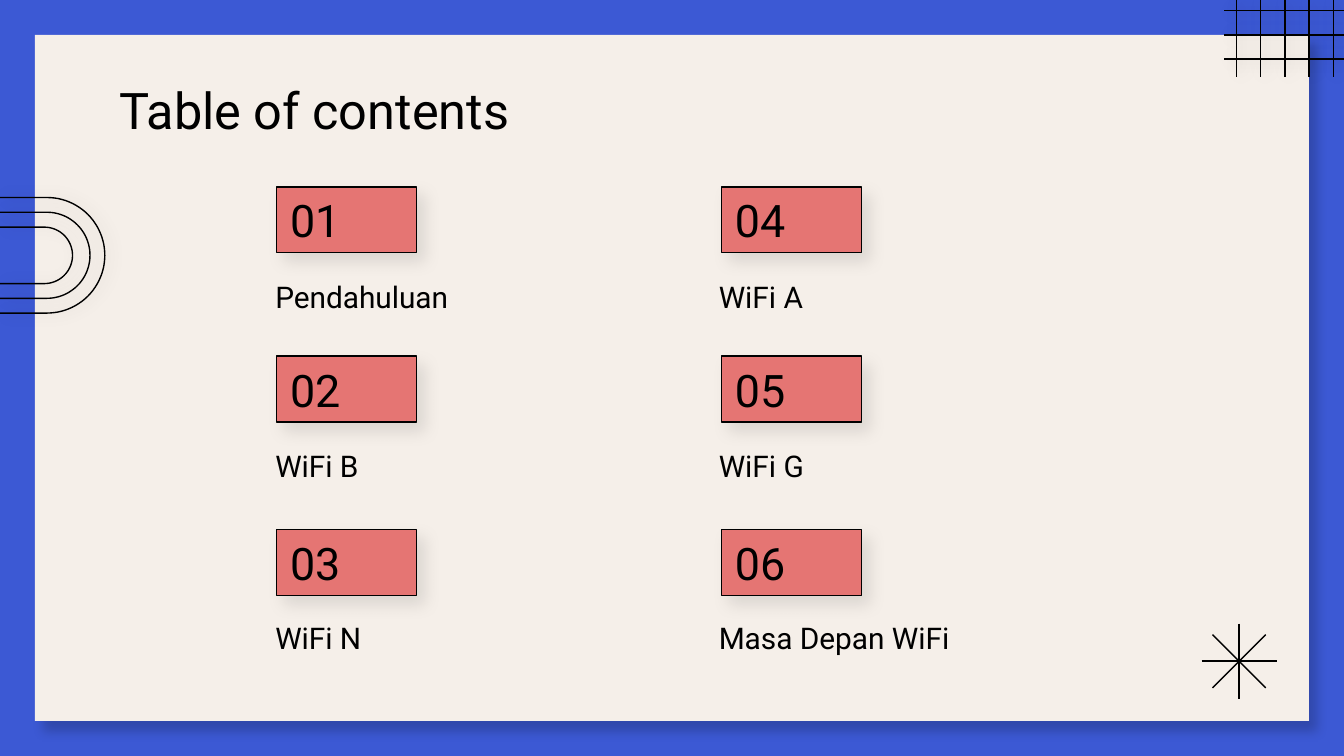
import math

from pptx import Presentation
from pptx.dml.color import RGBColor
from pptx.enum.shapes import MSO_CONNECTOR, MSO_SHAPE
from pptx.enum.text import MSO_ANCHOR, PP_ALIGN
from pptx.oxml.xmlchemy import OxmlElement
from pptx.util import Inches, Pt

RECTANGLE, STRAIGHT = MSO_SHAPE.RECTANGLE, MSO_CONNECTOR.STRAIGHT
TOP, MIDDLE, LEFT = MSO_ANCHOR.TOP, MSO_ANCHOR.MIDDLE, PP_ALIGN.LEFT

BLUE = RGBColor(0x3C, 0x59, 0xD4)
CREAM = RGBColor(0xF5, 0xEF, 0xE9)
CORAL = RGBColor(0xE5, 0x75, 0x73)
BLACK = RGBColor(0, 0, 0)
FONT = "Roboto"

TITLE = "Table of contents"
CHAPTERS = [
    ["Pendahuluan", "WiFi B", "WiFi N"],
    ["WiFi A", "WiFi G", "Masa Depan WiFi"],
]

WIDTH = 10
HEIGHT = WIDTH * 9 / 16
MARGIN = 0.26
BADGE_COLUMNS = (2.06, 5.37)
LABEL_COLUMNS = (1.95, 5.25)
BADGE_ROWS = (1.39, 2.65, 3.94)
LABEL_ROWS = (1.97, 3.23, 4.51)
BADGE = (1.04, 0.49)
LABEL = (2.8, 0.49)

ARCH_MIDDLE = 1.9
ARCHES = [(0.35, 0.43), (0.35, 0.32), (0.33, 0.21)]
ARC_STEPS = 48
GRID_LEFT, GRID_BOTTOM, GRID_PITCH = 9.11, 0.57, 0.18
GRID_X, GRID_Y = 9.2, 0.08
STAR_X, STAR_Y, STAR_ARM = 9.22, 4.92, 0.28

PANEL_SHADOW = dict(alpha=18, blur=5.6, distance=7.5, angle=48)
BADGE_SHADOW = dict(alpha=10, blur=9, distance=6, angle=50)
LINE_SHADOW = dict(alpha=16, blur=7.9, distance=2.2, angle=0)


def set_shadow(shape, shadow=None):
    effects = OxmlElement("a:effectLst")
    if shadow:
        outer = OxmlElement("a:outerShdw")
        outer.set("blurRad", str(Pt(shadow["blur"])))
        outer.set("dist", str(Pt(shadow["distance"])))
        outer.set("dir", str(shadow["angle"] * 60000))
        outer.set("algn", "bl")
        outer.set("rotWithShape", "0")
        color = OxmlElement("a:srgbClr")
        color.set("val", str(BLACK))
        alpha = OxmlElement("a:alpha")
        alpha.set("val", str(shadow["alpha"] * 1000))
        color.append(alpha)
        outer.append(color)
        effects.append(outer)
    shape.element.spPr.append(effects)


def set_outline(shape):
    shape.line.color.rgb = BLACK
    shape.line.width = Pt(0.75)


def add_box(slide, left, top, width, height, fill, shadow, outlined=False):
    box = slide.shapes.add_shape(
        RECTANGLE, Inches(left), Inches(top), Inches(width), Inches(height))
    box.fill.solid()
    box.fill.fore_color.rgb = fill
    if outlined:
        set_outline(box)
    else:
        box.line.fill.background()
    set_shadow(box, shadow)
    return box


def add_line(slide, x1, y1, x2, y2, shadow=None):
    line = slide.shapes.add_connector(
        STRAIGHT, Inches(x1), Inches(y1), Inches(x2), Inches(y2))
    set_outline(line)
    set_shadow(line, shadow)


def add_arch(slide, center, radius):
    angles = [math.pi * (step / ARC_STEPS - 0.5) for step in range(ARC_STEPS + 1)]
    points = [(center + radius * math.cos(a), ARCH_MIDDLE + radius * math.sin(a))
              for a in angles]
    points.append((0, ARCH_MIDDLE + radius))
    builder = slide.shapes.build_freeform(
        0, Inches(ARCH_MIDDLE - radius), scale=1.0)
    builder.add_line_segments([(Inches(x), Inches(y)) for x, y in points], close=False)
    arch = builder.convert_to_shape()
    arch.fill.background()
    set_outline(arch)
    set_shadow(arch, LINE_SHADOW)


def write(shape, text, size, anchor=TOP):
    frame = shape.text_frame
    frame.word_wrap = True
    frame.vertical_anchor = anchor
    frame.margin_left = frame.margin_right = Inches(0.1)
    frame.margin_top = frame.margin_bottom = Inches(0.1)
    paragraph = frame.paragraphs[0]
    paragraph.alignment = LEFT
    run = paragraph.add_run()
    run.text = text
    run.font.name = FONT
    run.font.size = Pt(size)
    run.font.color.rgb = BLACK


def add_text(slide, left, top, width, height, text, size):
    area = slide.shapes.add_textbox(
        Inches(left), Inches(top), Inches(width), Inches(height))
    write(area, text, size)


def add_decor(slide):
    add_box(slide, MARGIN, MARGIN, WIDTH - 2 * MARGIN, HEIGHT - 2 * MARGIN,
            CREAM, PANEL_SHADOW)
    for center, radius in ARCHES:
        add_arch(slide, center, radius)
    for column in range(5):
        x = GRID_X + column * GRID_PITCH
        add_line(slide, x, 0, x, GRID_BOTTOM, LINE_SHADOW)
    for row in range(3):
        y = GRID_Y + row * GRID_PITCH
        add_line(slide, GRID_LEFT, y, WIDTH, y, LINE_SHADOW)
    for quarter in range(4):
        dx = STAR_ARM * math.cos(quarter * math.pi / 4)
        dy = STAR_ARM * math.sin(quarter * math.pi / 4)
        add_line(slide, STAR_X - dx, STAR_Y - dy, STAR_X + dx, STAR_Y + dy)


def main():
    deck = Presentation()
    deck.slide_width, deck.slide_height = Inches(WIDTH), Inches(HEIGHT)
    slide = deck.slides.add_slide(deck.slide_layouts[6])
    slide.background.fill.solid()
    slide.background.fill.fore_color.rgb = BLUE

    add_decor(slide)
    add_text(slide, 0.79, 0.49, 8.43, 0.63, TITLE, 27)

    number = 0
    for badge_left, label_left, chapters in zip(BADGE_COLUMNS, LABEL_COLUMNS, CHAPTERS):
        for badge_top, label_top, chapter in zip(BADGE_ROWS, LABEL_ROWS, chapters):
            number += 1
            badge = add_box(slide, badge_left, badge_top, *BADGE, CORAL,
                            BADGE_SHADOW, outlined=True)
            write(badge, f"{number:02}", 24, anchor=MIDDLE)
            add_text(slide, label_left, label_top, *LABEL, chapter, 16)

    deck.save("out.pptx")


if __name__ == "__main__":
    main()
